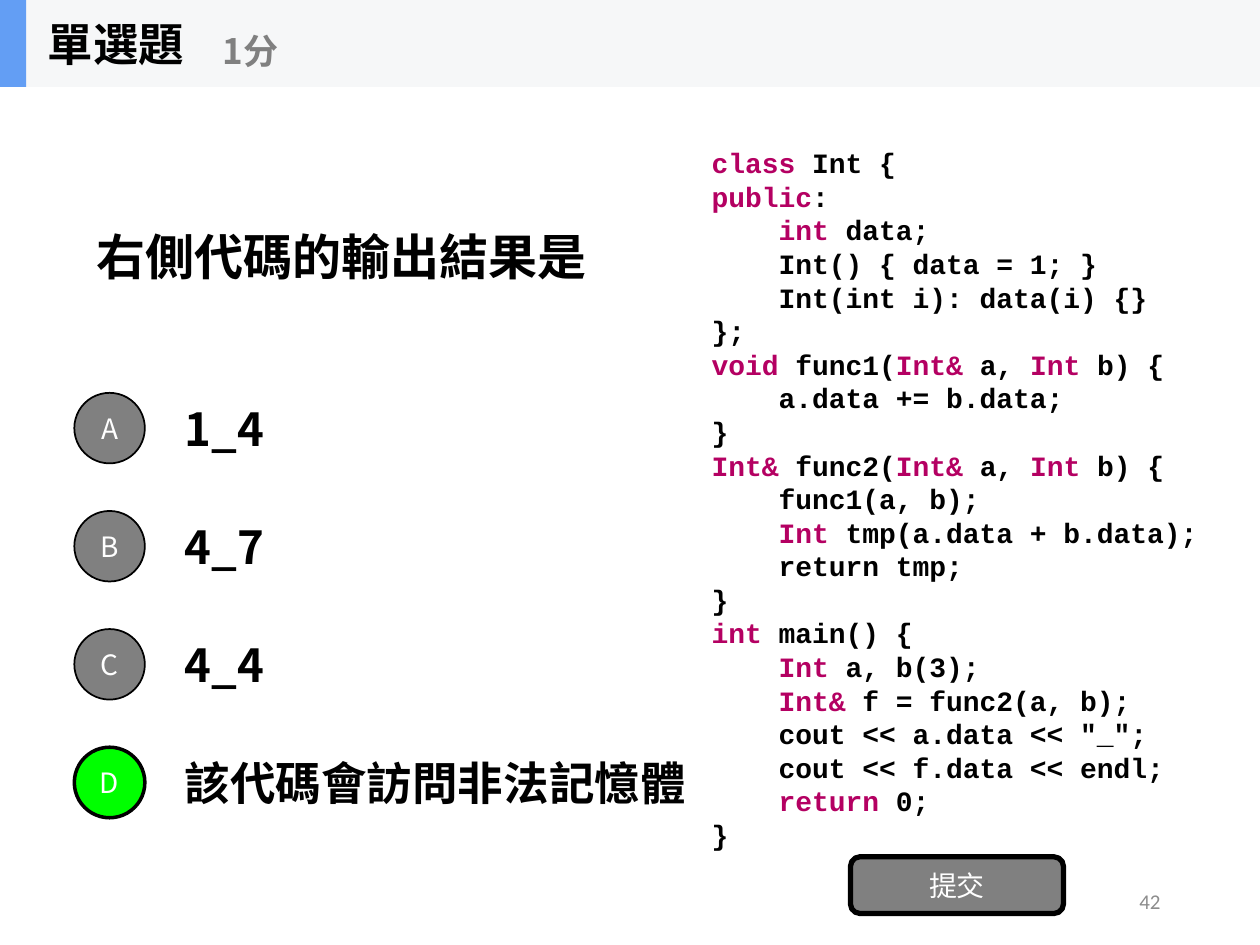
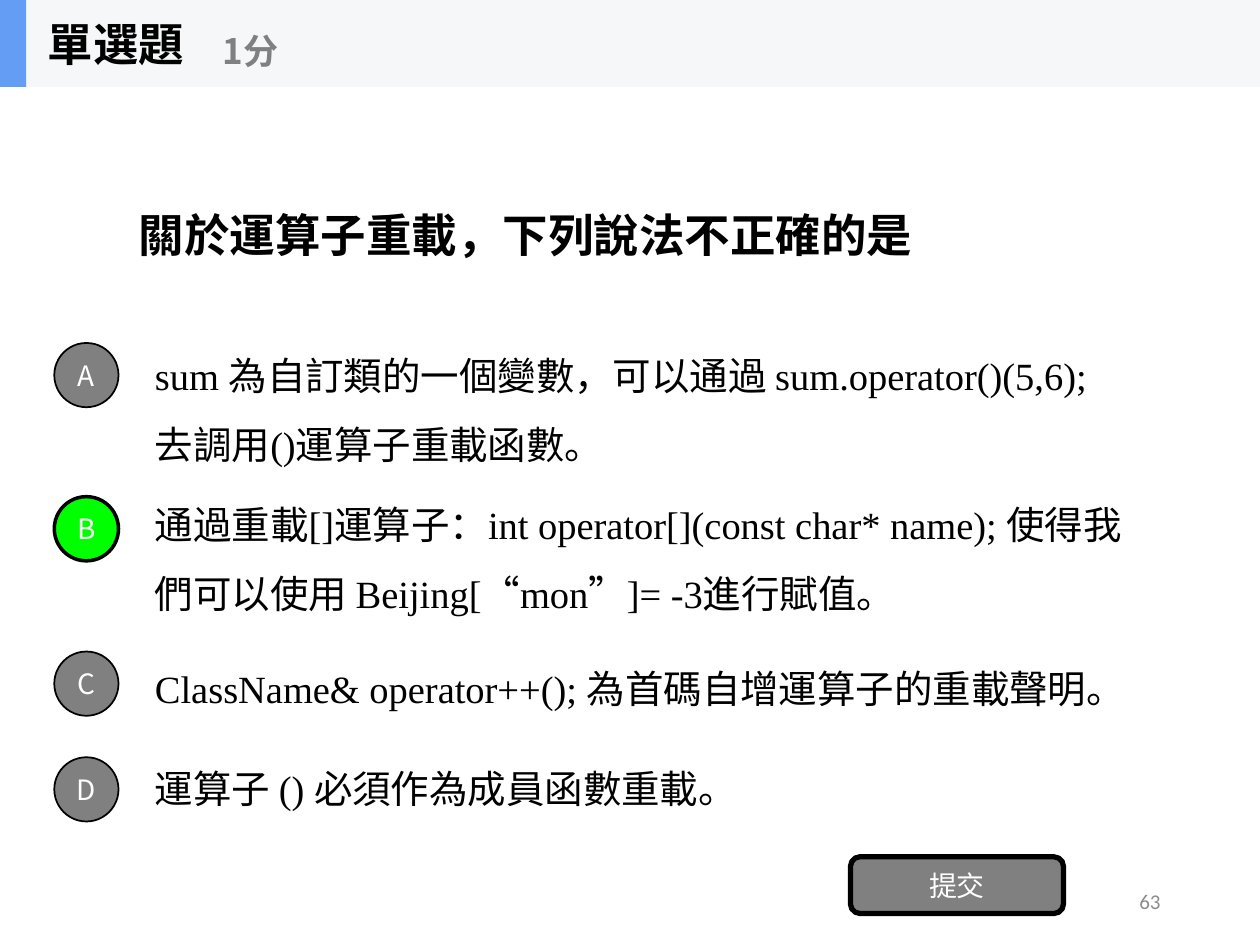
from pptx import Presentation
from pptx.dml.color import RGBColor
from pptx.enum.shapes import MSO_SHAPE
from pptx.enum.text import MSO_ANCHOR, MSO_AUTO_SIZE, PP_ALIGN
from pptx.oxml.ns import qn
from pptx.util import Pt
from lxml import etree

RECT, ROUNDED, OVAL = MSO_SHAPE.RECTANGLE, MSO_SHAPE.ROUNDED_RECTANGLE, MSO_SHAPE.OVAL
LEFT, CENTER, RIGHT = PP_ALIGN.LEFT, PP_ALIGN.CENTER, PP_ALIGN.RIGHT
TOP, MIDDLE = MSO_ANCHOR.TOP, MSO_ANCHOR.MIDDLE
NO_FIT = MSO_AUTO_SIZE.NONE

SANS = "Noto Sans CJK SC"
BLACK, WHITE, GRAY = "000000", "FFFFFF", "808080"
BAND, ACCENT, KEYWORD, CORRECT, FOOTER = "F6F7F8", "639EF4", "B40062", "00FF00", "8C8C8C"
rgb = RGBColor.from_string


def write(shape, text, size=16, font=SANS, color=BLACK, bold=False, align=LEFT,
          anchor=MIDDLE, wrap=False, spacing=None):
    frame = shape.text_frame
    frame.auto_size = NO_FIT
    frame.word_wrap = wrap
    frame.vertical_anchor = anchor
    for row, line in enumerate(text.split("\n")):
        paragraph = frame.add_paragraph() if row else frame.paragraphs[0]
        paragraph.alignment = align
        if spacing:
            paragraph.line_spacing = spacing
        for part, piece in enumerate(line.split("~")):
            if not piece:
                continue
            run = paragraph.add_run()
            run.text = piece
            run.font.size = Pt(size)
            run.font.bold = bold
            run.font.color.rgb = rgb(KEYWORD if part % 2 else color)
            run.font.name = font
            east_asian = etree.SubElement(run.font._element, qn("a:ea"))
            east_asian.set("typeface", SANS)


def add_filled(shapes, kind, box, fill, line=0):
    shape = shapes.add_shape(kind, *map(Pt, box))
    shape.shadow.inherit = False
    shape.fill.solid()
    shape.fill.fore_color.rgb = rgb(fill)
    if line:
        shape.line.color.rgb = rgb(BLACK)
        shape.line.width = Pt(line)
    else:
        shape.line.fill.background()
    frame = shape.text_frame
    frame.margin_left = frame.margin_right = 0
    return shape


code = """~class~ Int {
~public~:
    ~int~ data;
    Int() { data = 1; }
    Int(int i): data(i) {}
};
~void~ func1(~Int& ~a, ~Int~ b) {
    a.data += b.data;
}
~Int& ~func2(~Int& ~a, ~Int~ b) {
    func1(a, b);
    ~Int~ tmp(a.data + b.data);
    return tmp;
}
~int~ main() {
    ~Int~ a, b(3);
    ~Int& ~f = func2(a, b);
    cout << a.data << "_";
    cout << f.data << endl;
    ~return~ 0;
}"""

short_answers = ["1_4", "4_7", "4_4", "該代碼會訪問非法記憶體"]
long_answers = [
    (196, 202.3, "sum 為自訂類的一個變數，可以通過 sum.operator()(5,6);\n去調用()運算子重載函數。"),
    (283.8, 287.3, "通過重載[]運算子：int operator[](const char* name); 使得我\n"
                   "們可以使用 Beijing[“mon”]= -3進行賦值。"),
    (372.3, 361.4, "ClassName& operator++(); 為首碼自增運算子的重載聲明。"),
    (432.7, 418.3, "運算子 () 必須作為成員函數重載。"),
]

quizzes = [
    dict(number="42", question="右側代碼的輸出結果是", question_box=(48.2, 126, 297.4, 41),
         question_format=dict(size=28, font="Calibri", anchor=TOP),
         code=code, correct="D", badge_left=42.5, badge_size=40.3,
         answer_left=98.6, answer_width=225.4, answer_format=dict(size=26, bold=True),
         answers=[(224.5 + 67.5 * row, 219.5 + 67.5 * row, answer)
                  for row, answer in enumerate(short_answers)]),
    dict(number="63", question="關於運算子重載，下列說法不正確的是",
         question_box=(72, 49.7, 576, 168.5),
         question_format=dict(size=26, wrap=True),
         code=None, correct="B", badge_left=31, badge_size=36.7,
         answer_left=81.5, answer_width=579,
         answer_format=dict(size=22, font="Times New Roman", spacing=1.5),
         answers=long_answers),
]

prs = Presentation()
prs.slide_width, prs.slide_height = Pt(720), Pt(540)
title_only = prs.slide_layouts[5]

for quiz in quizzes:
    slide = prs.slides.add_slide(title_only)
    shapes = slide.shapes

    question = shapes.title
    question.left, question.top, question.width, question.height = map(Pt, quiz["question_box"])
    write(question, quiz["question"], bold=True, **quiz["question_format"])

    page = shapes.add_textbox(Pt(508.3), Pt(500.4), Pt(162), Pt(28.8))
    write(page, quiz["number"], size=12, font="Calibri", color=FOOTER, align=RIGHT, wrap=True)

    if quiz["code"]:
        listing = shapes.add_textbox(Pt(399.6), Pt(74.2), Pt(297.4), Pt(421.2))
        write(listing, quiz["code"], font="Courier New", bold=True, wrap=True)

    for letter, (badge_top, answer_top, answer) in zip("ABCD", quiz["answers"]):
        option = shapes.add_textbox(Pt(quiz["answer_left"]), Pt(answer_top),
                                    Pt(quiz["answer_width"]), Pt(50.4))
        write(option, answer, **quiz["answer_format"])
        is_correct = letter == quiz["correct"]
        badge = add_filled(shapes, OVAL,
                           (quiz["badge_left"], badge_top, quiz["badge_size"], quiz["badge_size"]),
                           CORRECT if is_correct else GRAY, 2 if is_correct else 1)
        write(badge, letter, color=WHITE, align=CENTER)

    submit = add_filled(shapes, ROUNDED, (486, 489.6, 121.7, 32.4), GRAY, 3)
    write(submit, "提交", color=WHITE, align=CENTER)

    header = shapes.add_group_shape().shapes
    add_filled(header, RECT, (0, 0, 720, 49.7), BAND)
    add_filled(header, RECT, (0, 0, 15, 49.7), ACCENT)
    quiz_type = header.add_textbox(Pt(20.2), Pt(0), Pt(149.8), Pt(49.7))
    write(quiz_type, "單選題", size=26, bold=True)
    score = header.add_textbox(Pt(120.2), Pt(8.6), Pt(180), Pt(40.3))
    write(score, "1分", size=20, color=GRAY, bold=True)

prs.save("out.pptx")
